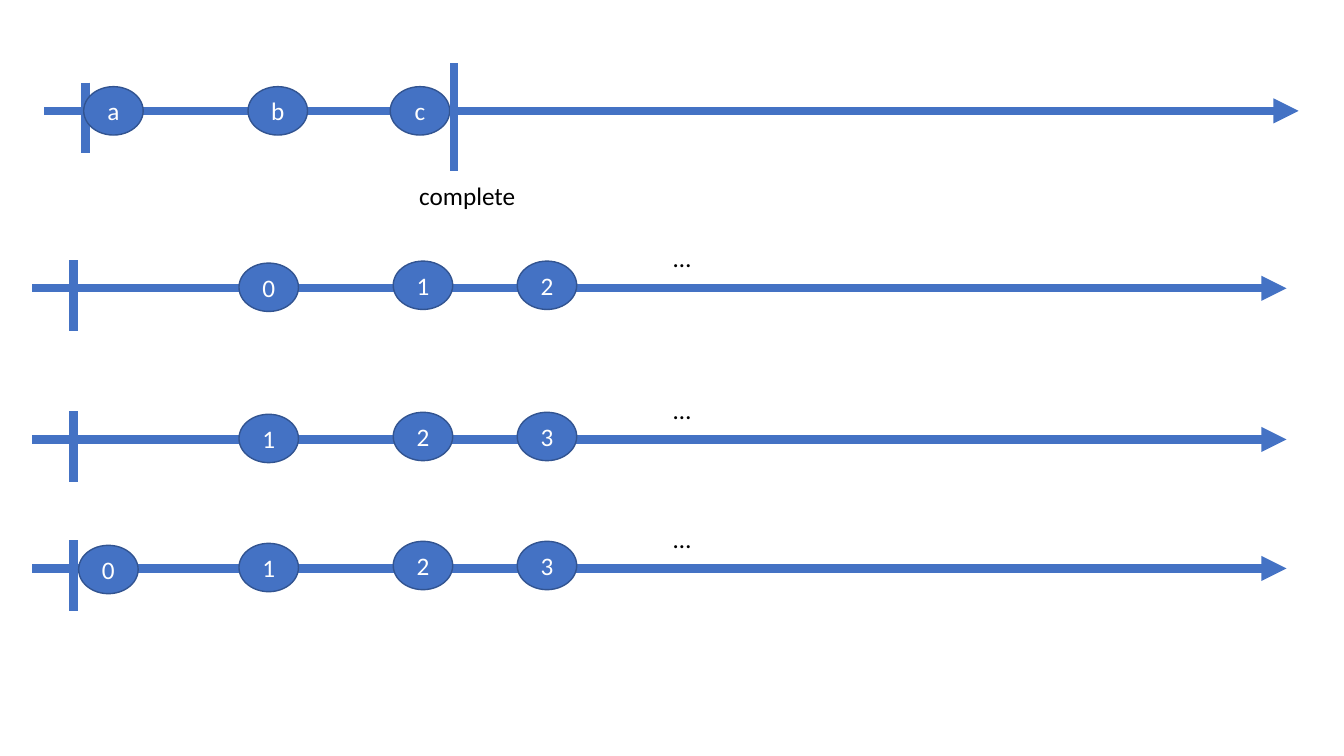
from lxml import etree
from pptx import Presentation
from pptx.dml.color import RGBColor
from pptx.enum.shapes import MSO_CONNECTOR, MSO_SHAPE
from pptx.enum.text import MSO_ANCHOR, MSO_AUTO_SIZE, PP_ALIGN
from pptx.oxml.ns import qn
from pptx.util import Inches, Pt

STRAIGHT = MSO_CONNECTOR.STRAIGHT
OVAL = MSO_SHAPE.OVAL
MIDDLE = MSO_ANCHOR.MIDDLE
CENTER = PP_ALIGN.CENTER
FIT_TEXT = MSO_AUTO_SIZE.SHAPE_TO_FIT_TEXT

COLORS = {"stream": "4472C4", "outline": "325491", "value": "FFFFFF", "label": "000000"}
FONT = "Calibri"
AXIS_LENGTH = 12.44
START_OFFSET = 0.41
MARBLE_WIDTH, MARBLE_HEIGHT = 0.59, 0.48
LABEL_HEIGHT = 0.4

# Marbles are (value, offset from the axis start, offset of the top from the axis)
LETTERS = [("a", 0.39, -0.24), ("b", 2.02, -0.24), ("c", 3.43, -0.24)]
TICKS = [(2.05, -0.25), (3.58, -0.27), (4.81, -0.27)]
INITIAL_TICK = ("0", 0.46, -0.23)


def color(name):
    return RGBColor.from_string(COLORS[name])


def add_run(paragraph, text, color_name):
    run = paragraph.add_run()
    run.text = text
    run.font.name = FONT
    run.font.size = Pt(18)
    run.font.color.rgb = color(color_name)


def add_line(slide, x1, y1, x2, y2, arrow=False):
    line = slide.shapes.add_connector(
        STRAIGHT, Inches(x1), Inches(y1), Inches(x2), Inches(y2))
    line.line.color.rgb = color("stream")
    line.line.width = Pt(6)
    if arrow:
        etree.SubElement(line.line._get_or_add_ln(), qn("a:tailEnd"), type="triangle")
    etree.SubElement(line._element.spPr, qn("a:effectLst"))


def add_marble(slide, value, left, top):
    marble = slide.shapes.add_shape(
        OVAL, Inches(left), Inches(top), Inches(MARBLE_WIDTH), Inches(MARBLE_HEIGHT))
    marble.shadow.inherit = False
    marble.fill.solid()
    marble.fill.fore_color.rgb = color("stream")
    marble.line.color.rgb = color("outline")
    marble.line.width = Pt(1)
    marble.text_frame.vertical_anchor = MIDDLE
    paragraph = marble.text_frame.paragraphs[0]
    paragraph.alignment = CENTER
    add_run(paragraph, value, "value")


def add_label(slide, text, left, top, width):
    label = slide.shapes.add_textbox(
        Inches(left), Inches(top), Inches(width), Inches(LABEL_HEIGHT))
    label.text_frame.word_wrap = False
    label.text_frame.auto_size = FIT_TEXT
    add_run(label.text_frame.paragraphs[0], text, "label")


def add_stream(slide, left, axis, marbles):
    """Draw a time axis with its start mark and its marbles."""
    add_line(slide, left, axis, left + AXIS_LENGTH, axis, arrow=True)
    start = left + START_OFFSET
    add_line(slide, start, axis - 0.28, start, axis + 0.42)
    for value, offset, rise in marbles:
        add_marble(slide, value, left + offset, axis + rise)


def add_completed_stream(slide, left, axis):
    add_stream(slide, left, axis, LETTERS)
    end = left + 4.06
    add_line(slide, end, axis - 0.47, end, axis + 0.6)
    add_label(slide, "complete", end - 0.44, axis + 0.64, 1.17)


def add_endless_stream(slide, left, axis, first, initial=()):
    """Draw a stream that counts up from first and goes on without end."""
    counted = [(str(first + i), *place) for i, place in enumerate(TICKS)]
    add_stream(slide, left, axis, [*initial, *counted])
    add_label(slide, "…", left + 6.26, axis - 0.5, 0.38)


def main():
    prs = Presentation()
    prs.slide_width, prs.slide_height = Inches(13.33), Inches(7.5)
    slide = prs.slides.add_slide(prs.slide_layouts[6])
    add_completed_stream(slide, 0.44, 1.1)
    add_endless_stream(slide, 0.32, 2.86, first=0)
    add_endless_stream(slide, 0.32, 4.36, first=1)
    add_endless_stream(slide, 0.32, 5.64, first=1, initial=[INITIAL_TICK])
    prs.save("out.pptx")


if __name__ == "__main__":
    main()
